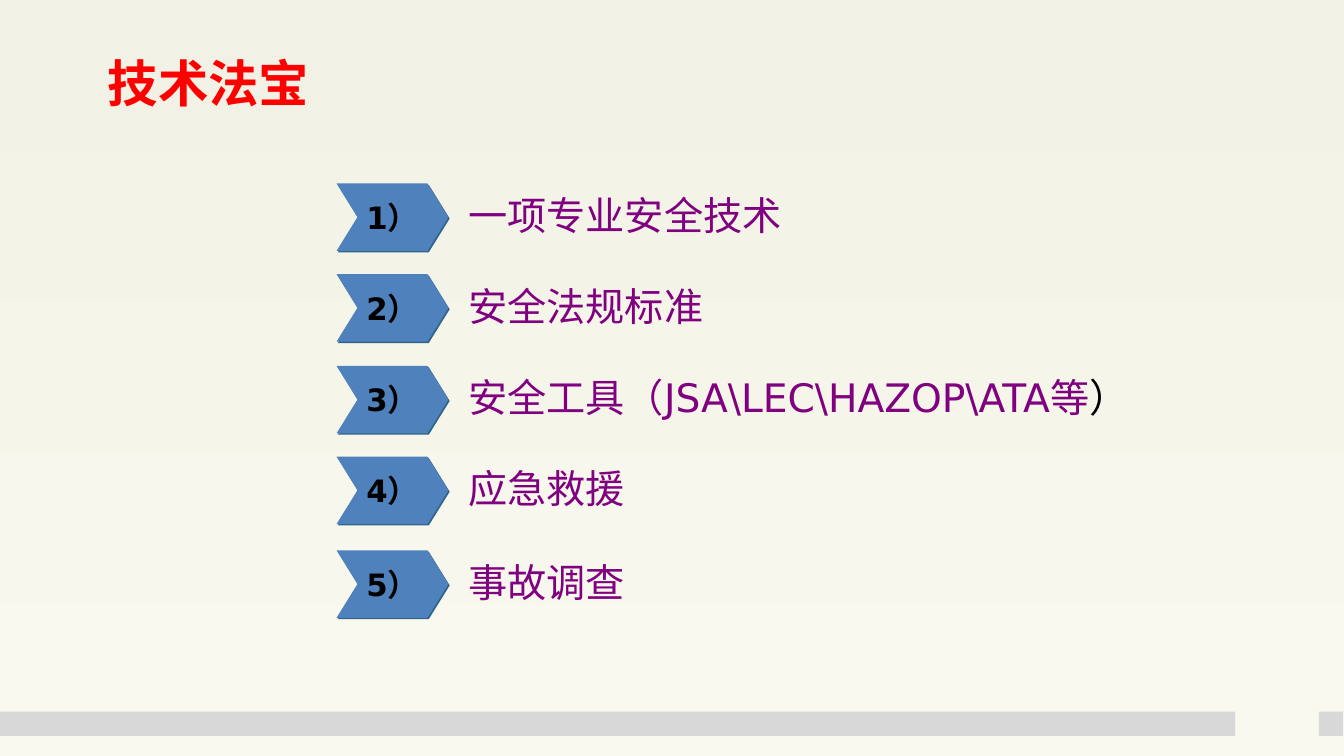
"""Build the slide listing five technical tools of safety work."""
from lxml.etree import SubElement
from pptx import Presentation
from pptx.dml.color import RGBColor
from pptx.enum.shapes import MSO_SHAPE
from pptx.enum.text import MSO_ANCHOR, MSO_AUTO_SIZE, PP_ALIGN
from pptx.oxml.ns import qn
from pptx.util import Inches, Pt

CREAM_TOP = RGBColor(0xF1, 0xF1, 0xE5)
CREAM_BOTTOM = RGBColor(0xF9, 0xF9, 0xEF)
GREY = RGBColor(0xD8, 0xD8, 0xD8)
RED = RGBColor(0xFF, 0x00, 0x00)
BLUE = RGBColor(0x4F, 0x81, 0xBD)
DARK_BLUE = RGBColor(0x2F, 0x64, 0x8C)
PURPLE = RGBColor(0x80, 0x00, 0x80)
BLACK = RGBColor(0x00, 0x00, 0x00)
LATIN_FONT = "DejaVu Sans"
CHINESE_FONT = "Noto Sans CJK SC"


def add_span(para, text, *, size, color, font=LATIN_FONT, bold=False):
    """Add one formatted run to a paragraph."""
    span = para.add_run()
    span.text = text
    span.font.size = Pt(size)
    span.font.bold = bold
    span.font.color.rgb = color
    span.font.name = font
    SubElement(span.font._element, qn("a:ea"), typeface=CHINESE_FONT)


def add_solid(page, kind, left, top, width, height, color):
    """Add a filled preset shape without outline or shadow."""
    shape = page.shapes.add_shape(
        kind, Inches(left), Inches(top), Inches(width), Inches(height))
    shape.shadow.inherit = False
    shape.fill.solid()
    shape.fill.fore_color.rgb = color
    shape.line.fill.background()
    return shape


deck = Presentation()
deck.slide_width = Inches(13.34)
deck.slide_height = Inches(7.5)
page = deck.slides.add_slide(deck.slide_layouts[5])

backdrop = page.background.fill
backdrop.gradient()
backdrop.gradient_angle = 270
for stop, color in zip(backdrop.gradient_stops, (CREAM_TOP, CREAM_BOTTOM)):
    stop.color.rgb = color

for left, width in ((0, 12.26), (13.09, 0.24)):
    add_solid(page, MSO_SHAPE.RECTANGLE, left, 7.06, width, 0.24, GREY)

title = page.shapes.title
title.left, title.top = Inches(0.97), Inches(0.47)
title.width, title.height = Inches(12.36), Inches(0.67)
title.text_frame.auto_size = MSO_AUTO_SIZE.NONE
title.text_frame.vertical_anchor = MSO_ANCHOR.TOP
para = title.text_frame.paragraphs[0]
para.alignment = PP_ALIGN.LEFT
add_span(para, "技术法宝", size=36, color=RED, font=CHINESE_FONT, bold=True)

tools = [
    (1.82, [("一项专业安全技术", PURPLE)]),
    (2.72, [("安全法规标准", PURPLE)]),
    (3.63, [("安全工具（JSA\\LEC\\HAZOP\\ATA等", PURPLE), ("）", BLACK)]),
    (4.53, [("应急救援", PURPLE)]),
    (5.46, [("事故调查", PURPLE)]),
]
for number, (top, parts) in enumerate(tools, start=1):
    arrow = add_solid(page, MSO_SHAPE.CHEVRON, 3.34, top, 1.11, 0.67, BLUE)
    arrow.adjustments[0] = 0.31
    effects = arrow._element.spPr.find(qn("a:effectLst"))
    shadow = SubElement(effects, qn("a:outerShdw"), dist=str(Pt(1.4)),
                        dir="2700000", algn="ctr", rotWithShape="0")
    SubElement(shadow, qn("a:srgbClr"), val=str(DARK_BLUE))
    arrow.text_frame.word_wrap = False
    arrow.text_frame.vertical_anchor = MSO_ANCHOR.MIDDLE
    para = arrow.text_frame.paragraphs[0]
    para.alignment = PP_ALIGN.CENTER
    add_span(para, f"{number}）", size=22, color=BLACK, bold=True)

    box = page.shapes.add_textbox(
        Inches(4.45), Inches(top + 0.02), Inches(7.89), Inches(0.58))
    frame = box.text_frame
    frame.word_wrap = True
    frame.vertical_anchor = MSO_ANCHOR.MIDDLE
    frame.margin_left = Inches(0.2)
    for text, color in parts:
        add_span(frame.paragraphs[0], text, size=28, color=color)

deck.save("out.pptx")
